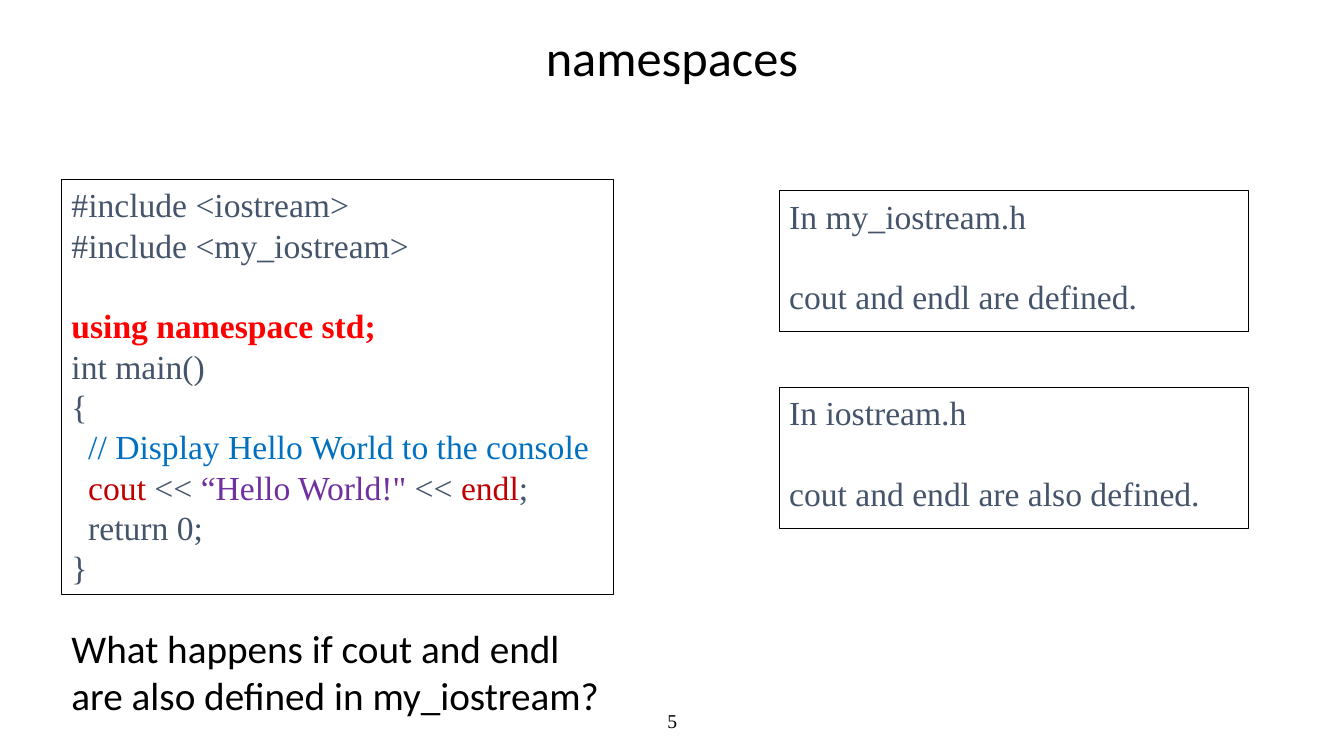
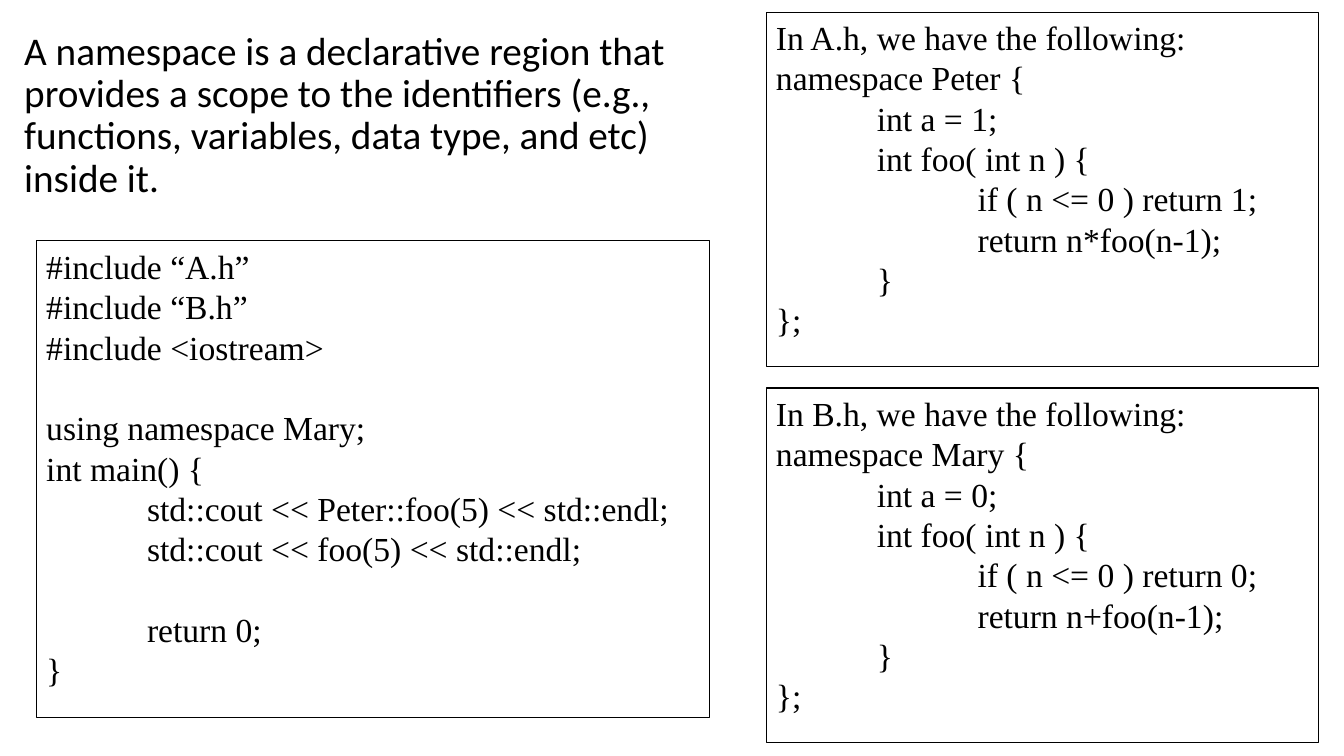
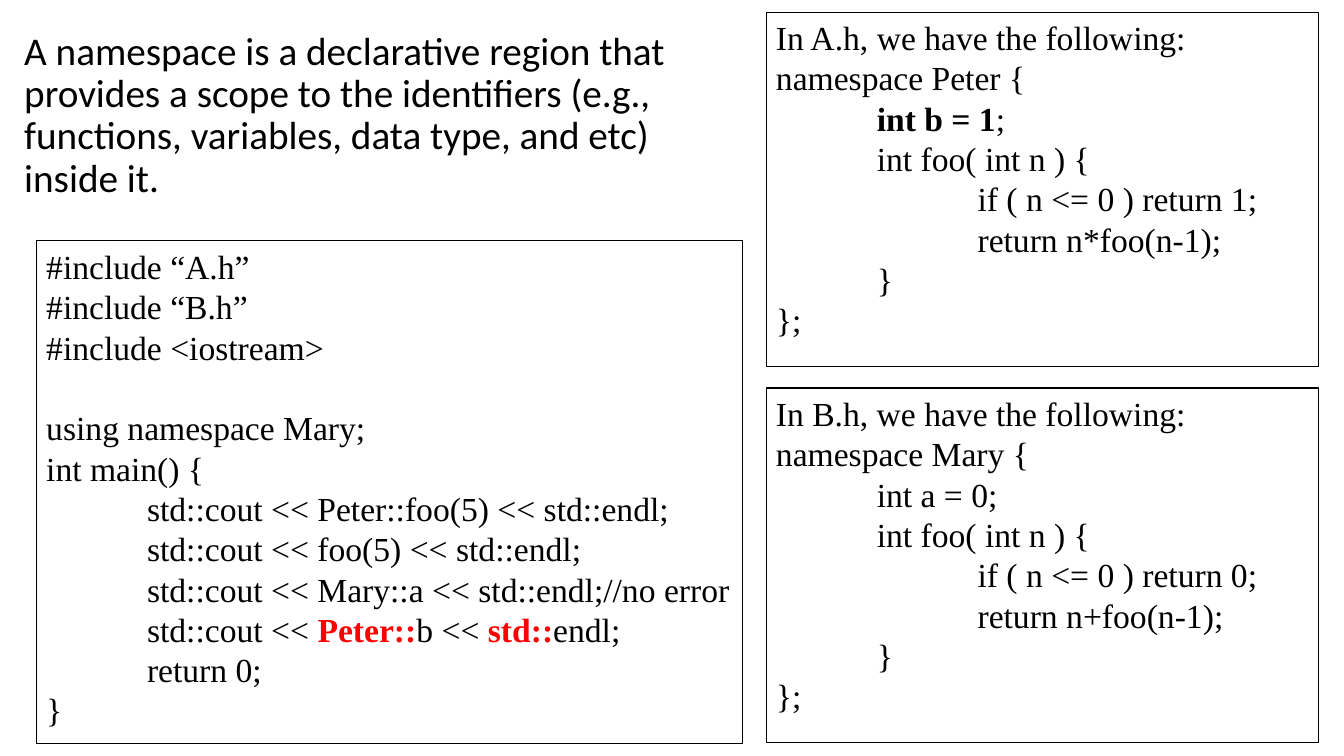
from typing import NamedTuple, Sequence, Union

from pptx import Presentation
from pptx.dml.color import RGBColor
from pptx.enum.shapes import MSO_SHAPE
from pptx.enum.text import MSO_ANCHOR, MSO_AUTO_SIZE, PP_ALIGN
from pptx.oxml.xmlchemy import OxmlElement
from pptx.util import Inches, Pt

WIDE, HIGH = Inches(13.33), Inches(7.5)
COL, ROW = WIDE / 100, HIGH / 100  # the grid is 100 by 100
COLORS = {"black": "000000", "slate": "44546A", "red": "FF0000",
          "wine": "C00000", "blue": "0070C0", "plum": "7030A0"}
SANS, SERIF = "Calibri", "Times New Roman"
CODE_SIZE, PITCH = 24, 28.8


class Box(NamedTuple):
    """A place on the grid, in columns and rows."""
    col: float
    row: float
    cols: float
    rows: float


class Run(NamedTuple):
    text: str
    color: str
    bold: bool = False


Line = Union[str, Sequence[Union[str, Run]]]


class Panel(NamedTuple):
    """A framed listing; an empty line becomes a gap."""
    box: Box
    lines: Sequence[Line]
    color: str = "black"


TITLE = Box(0, 3.33, 100, 9.2)
PAGE = Box(33.15, 92.67, 33.75, 5.33)
HELLO = Box(4.58, 23.73, 41.1, 54.93)
ASK = Box(4.58, 81.87, 41.1, 13.87)
NOTE, NOTE_STEP = Box(57.98, 25.2, 34.95, 18.67), 26
INTRO = Box(1.05, 3.47, 51.75, 12.93)
HEAD, HEAD_STEP = Box(57, 1.6, 41.1, 46.93), 49.73
MAIN = Box(2.7, 31.87, 50.1, 63.07)
WIDE_MAIN = MAIN._replace(cols=52.58, rows=66.53)

HELLO_CODE = (
    "#include <iostream>",
    "#include <my_iostream>",
    "",
    [Run("using namespace std;", "red", True)],
    "int main()",
    "{",
    ["  ", Run("// Display Hello World to the console", "blue")],
    ["  ", Run("cout ", "wine"), "<< ", Run("“Hello World!\" ", "plum"),
     "<< ", Run("endl", "wine"), ";"],
    "  return 0;",
    "}",
)
DEFINITION = ("A namespace is a declarative region that provides a scope to "
              "the identifiers (e.g., functions, variables, data type, and "
              "etc) inside it.")
EXTRA = (
    "\tstd::cout << Mary::a << std::endl;//no error",
    ["\tstd::cout << ", Run("Peter::", "red", True), "b << ",
     Run("std::", "red", True), "endl;"],
)


def header(file: str, name: str, first: Line, base: int, sign: str) -> list[Line]:
    """Lines of a header file that holds one namespace."""
    return [f"In {file}, we have the following:",
            f"namespace {name} {{",
            first,
            "\tint foo( int n ) {",
            f"\t\tif ( n <= 0 ) return {base};",
            f"\t\treturn n{sign}foo(n-1);",
            "\t}",
            "};"]


def program(extra: Sequence[Line]) -> list[Line]:
    """Lines of the main file, with extra output before the return."""
    return ["#include “A.h”", "#include “B.h”", "#include <iostream>", "",
            "using namespace Mary;",
            "int main() {",
            "\tstd::cout << Peter::foo(5) << std::endl;",
            "\tstd::cout << foo(5) << std::endl;",
            *extra,
            "\treturn 0;",
            "}"]


def area(box: Box) -> tuple[int, int, int, int]:
    return (round(box.col * COL), round(box.row * ROW),
            round(box.cols * COL), round(box.rows * ROW))


def place(shape, box: Box) -> None:
    shape.left, shape.top, shape.width, shape.height = area(box)


def style(font, face: str, size: float, color: str, bold: bool = False) -> None:
    font.name, font.size, font.bold = face, Pt(size), bold
    font.color.rgb = RGBColor.from_string(COLORS[color])


def write(shape, text: str, face: str, size: float, align=PP_ALIGN.LEFT,
          anchor=MSO_ANCHOR.TOP, lead: float = 1):
    """Put one paragraph in a shape and return it."""
    frame = shape.text_frame
    frame.text = text
    frame.word_wrap, frame.auto_size = True, MSO_AUTO_SIZE.NONE
    frame.vertical_anchor = anchor
    para = frame.paragraphs[0]
    para.alignment, para.line_spacing, para.space_before = align, lead, Pt(0)
    style(para.runs[0].font, face, size, "black")
    return para


def draw(slide, panel: Panel) -> None:
    shape = slide.shapes.add_shape(MSO_SHAPE.RECTANGLE, *area(panel.box))
    shape.shadow.inherit = False
    shape.fill.background()
    shape.line.color.rgb = RGBColor.from_string(COLORS["black"])
    shape.line.width = Pt(0.75)
    frame = shape.text_frame
    frame.word_wrap, frame.vertical_anchor = True, MSO_ANCHOR.TOP
    gap = 0
    for i, line in enumerate(panel.lines):
        if not line:
            gap = PITCH
            continue
        para = frame.add_paragraph() if i else frame.paragraphs[0]
        para.alignment, para.space_before = PP_ALIGN.LEFT, Pt(gap)
        para._p.get_or_add_pPr().set("defTabSz", str(Inches(1)))
        gap = 0
        for part in [line] if isinstance(line, str) else line:
            item = Run(part, panel.color) if isinstance(part, str) else part
            run = para.add_run()
            run.text = item.text
            style(run.font, SERIF, CODE_SIZE, item.color, item.bold)


def hello(deck) -> None:
    slide = deck.slides.add_slide(deck.slide_layouts[5])
    place(slide.shapes.title, TITLE)
    write(slide.shapes.title, "namespaces", SANS, 36, PP_ALIGN.CENTER,
          MSO_ANCHOR.MIDDLE, 0.9)
    draw(slide, Panel(HELLO, HELLO_CODE, "slate"))
    write(slide.shapes.add_textbox(*area(ASK)),
          "What happens if cout and endl are also defined in my_iostream?",
          SANS, 28)
    notes = (("my_iostream.h", "defined"), ("iostream.h", "also defined"))
    for i, (file, state) in enumerate(notes):
        box = NOTE._replace(row=NOTE.row + i * NOTE_STEP)
        lines = (f"In {file}", "", f"cout and endl are {state}.")
        draw(slide, Panel(box, lines, "slate"))
    write(slide.shapes.add_textbox(*area(PAGE)), "5", SERIF, 14,
          PP_ALIGN.CENTER, MSO_ANCHOR.MIDDLE)


def scope(deck, first: Line, main: Panel) -> None:
    """Add a slide with the definition, both headers and the main file."""
    slide = deck.slides.add_slide(deck.slide_layouts[1])
    title, body = slide.placeholders
    title.element.getparent().remove(title.element)
    place(body, INTRO)
    para = write(body, DEFINITION, SANS, 28, lead=0.9)
    props = para._p.get_or_add_pPr()
    props.set("marL", "0")
    props.set("indent", "0")
    props.append(OxmlElement("a:buNone"))
    heads = (header("A.h", "Peter", first, 1, "*"),
             header("B.h", "Mary", "\tint a = 0;", 0, "+"))
    for i, lines in enumerate(heads):
        draw(slide, Panel(HEAD._replace(row=HEAD.row + i * HEAD_STEP), lines))
    draw(slide, main)


def main() -> None:
    deck = Presentation()
    deck.slide_width, deck.slide_height = WIDE, HIGH
    hello(deck)
    scope(deck, "\tint a = 1;", Panel(MAIN, program([""])))
    scope(deck, ["\t", Run("int b = 1", "black", True), ";"],
          Panel(WIDE_MAIN, program(EXTRA)))
    deck.save("out.pptx")


if __name__ == "__main__":
    main()
